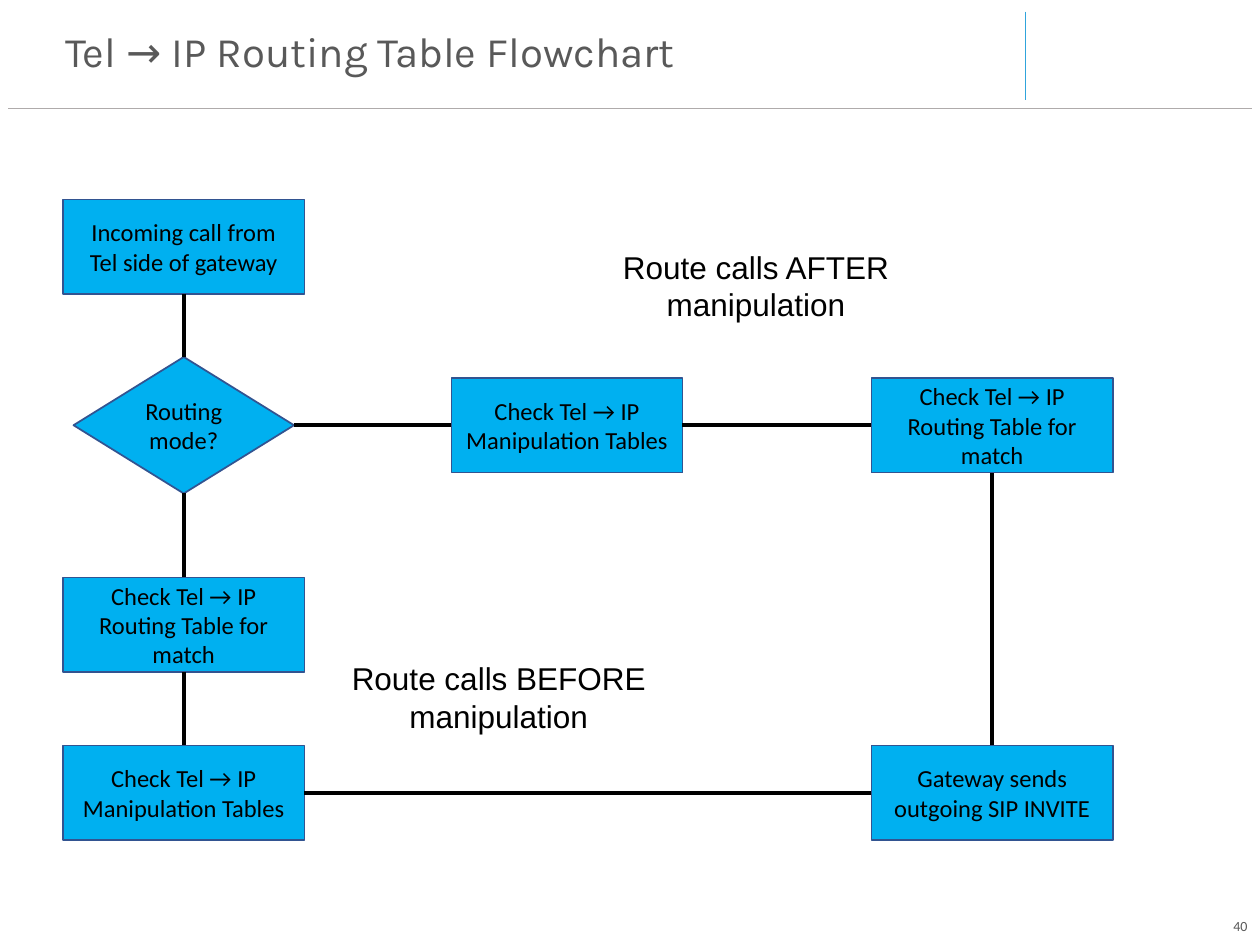
from dataclasses import dataclass

from lxml.etree import SubElement
from pptx import Presentation
from pptx.dml.color import RGBColor
from pptx.enum.shapes import MSO_CONNECTOR, MSO_SHAPE
from pptx.enum.text import MSO_ANCHOR, MSO_AUTO_SIZE, PP_ALIGN
from pptx.oxml.ns import qn
from pptx.util import Emu, Pt

EMU_PER_PX = 7620
TOP, LEFT, BOTTOM, RIGHT = range(4)


@dataclass(frozen=True)
class Theme:
    ink: str = "000000"
    muted: str = "595959"
    step_fill: str = "00B0F0"
    step_border: str = "325491"
    header_rule: str = "AFABAB"
    header_divider: str = "30A4DC"
    title_font: str = "Karla"
    step_font: str = "Calibri"
    label_font: str = "Arial"
    title_size: int = 24
    label_size: int = 18
    step_size: int = 14
    number_size: int = 8
    border_width: float = 1
    flow_width: float = 2.25
    rule_width: float = 0.5


def px(*lengths):
    return [Emu(length * EMU_PER_PX) for length in lengths]


def write_text(shape, text, *, font, size, color, align=PP_ALIGN.CENTER,
               anchor=MSO_ANCHOR.MIDDLE, spacing=None, auto_size=MSO_AUTO_SIZE.NONE):
    frame = shape.text_frame
    frame.word_wrap = True
    frame.auto_size = auto_size
    frame.vertical_anchor = anchor
    paragraph = frame.paragraphs[0]
    paragraph.alignment = align
    paragraph.line_spacing = spacing
    run = paragraph.add_run()
    run.text = text
    run.font.name = font
    run.font.size = Pt(size)
    run.font.color.rgb = RGBColor.from_string(color)


class FlowchartSlide:
    def __init__(self, slide, theme):
        self.slide = slide
        self.theme = theme

    def title(self, text, left, top, width, height):
        heading = self.slide.shapes.title
        heading.left, heading.top, heading.width, heading.height = px(left, top, width, height)
        write_text(heading, text, font=self.theme.title_font, size=self.theme.title_size,
                   color=self.theme.muted, align=PP_ALIGN.LEFT, spacing=0.9)

    def step(self, text, left, top, width=230, height=90, kind=MSO_SHAPE.FLOWCHART_PROCESS):
        box = self.slide.shapes.add_shape(kind, *px(left, top, width, height))
        box.shadow.inherit = False
        box.fill.solid()
        box.fill.fore_color.rgb = RGBColor.from_string(self.theme.step_fill)
        box.line.color.rgb = RGBColor.from_string(self.theme.step_border)
        box.line.width = Pt(self.theme.border_width)
        write_text(box, text, font=self.theme.step_font, size=self.theme.step_size,
                   color=self.theme.ink)
        return box

    def rule(self, x1, y1, x2, y2, color, width):
        line = self.slide.shapes.add_connector(MSO_CONNECTOR.STRAIGHT, *px(x1, y1, x2, y2))
        line.line.color.rgb = RGBColor.from_string(color)
        line.line.width = Pt(width)
        SubElement(line._element.spPr, qn("a:effectLst"))
        return line

    def flow(self, source, source_side, target, target_side):
        line = self.rule(0, 0, 0, 0, self.theme.ink, self.theme.flow_width)
        line.begin_connect(source, source_side)
        line.end_connect(target, target_side)

    def label(self, text, left, top, width, height=85):
        box = self.slide.shapes.add_textbox(*px(left, top, width, height))
        write_text(box, text, font=self.theme.label_font, size=self.theme.label_size,
                   color=self.theme.ink, anchor=MSO_ANCHOR.TOP,
                   auto_size=MSO_AUTO_SIZE.SHAPE_TO_FIT_TEXT)

    def page_number(self, text, left, top, width, height):
        box = self.slide.shapes.add_textbox(*px(left, top, width, height))
        write_text(box, text, font=self.theme.step_font, size=self.theme.number_size,
                   color=self.theme.muted, align=PP_ALIGN.RIGHT)


def main():
    deck = Presentation()
    deck.slide_width, deck.slide_height = px(1200, 900)
    theme = Theme()
    chart = FlowchartSlide(deck.slides.add_slide(deck.slide_layouts[5]), theme)

    chart.rule(977, 11, 977, 95, theme.header_divider, theme.rule_width)
    chart.page_number("40", 1154, 864, 46, 36)
    chart.rule(8, 103, 1192, 103, theme.header_rule, theme.rule_width)
    chart.title("Tel → IP Routing Table Flowchart", 50, 12, 919, 78)

    left_column, right_column = 60, 830
    decision_row, final_row = 360, 710
    manipulation = "Check Tel → IP Manipulation Tables"
    routing = "Check Tel → IP Routing Table for match"

    incoming = chart.step("Incoming call from Tel side of gateway", left_column, 190)
    mode = chart.step("Routing mode?", 70, 340, 210, 130, MSO_SHAPE.FLOWCHART_DECISION)
    manipulate_first = chart.step(manipulation, 430, decision_row, width=220)
    manipulate_last = chart.step(manipulation, left_column, final_row)
    route_first = chart.step(routing, left_column, 550)
    route_last = chart.step(routing, right_column, decision_row)
    invite = chart.step("Gateway sends outgoing SIP INVITE", right_column, final_row)

    for connection in (
        (incoming, BOTTOM, mode, TOP),
        (manipulate_first, LEFT, mode, RIGHT),
        (manipulate_first, RIGHT, route_last, LEFT),
        (route_first, TOP, mode, BOTTOM),
        (route_first, BOTTOM, manipulate_last, TOP),
        (invite, TOP, route_last, BOTTOM),
        (invite, LEFT, manipulate_last, RIGHT),
    ):
        chart.flow(*connection)

    chart.label("Route calls AFTER manipulation", 540, 230, 360)
    chart.label("Route calls BEFORE manipulation", 310, 622, 330)

    deck.save("out.pptx")


if __name__ == "__main__":
    main()
